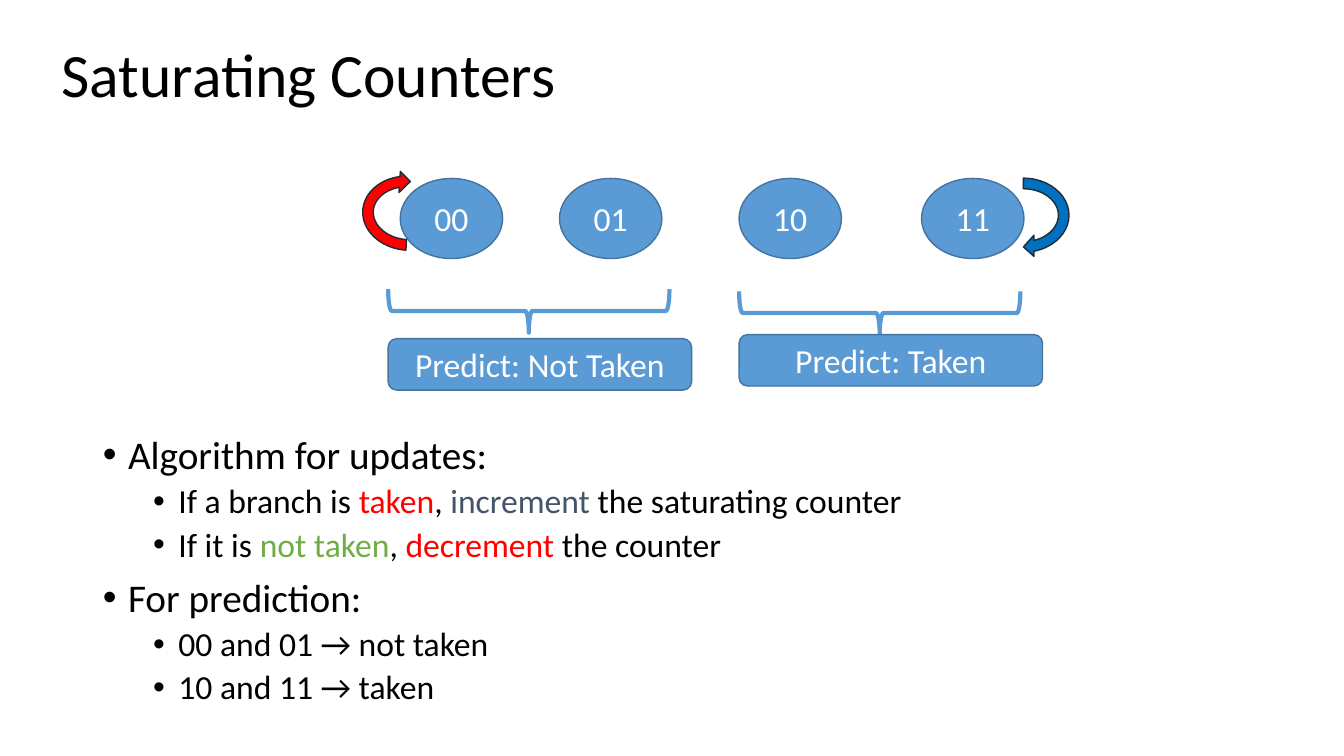
import dataclasses
import pptx
import pptx.dml.color
import pptx.enum.shapes
import pptx.enum.text
import pptx.oxml.ns
import pptx.util
from lxml import etree

SHAPE = pptx.enum.shapes.MSO_SHAPE
ALIGN = pptx.enum.text.PP_ALIGN
ANCHOR = pptx.enum.text.MSO_ANCHOR


@dataclasses.dataclass(frozen=True)
class Theme:
    font: str = "Calibri"
    title_size: int = 44
    topic_size: int = 28
    detail_size: int = 24
    text: str = "000000"
    white: str = "FFFFFF"
    blue: str = "5B9BD5"
    blue_edge: str = "43739E"
    loop_edge: str = "222A35"
    up: str = "0070C0"
    red: str = "FF0000"
    green: str = "70AD47"
    slate: str = "44546A"


THEME = Theme()

# The slide is a grid of 100 columns by 100 rows
WIDTH, HEIGHT = pptx.util.Inches(13.33), pptx.util.Inches(7.5)
COLUMN, ROW = WIDTH / 100, HEIGHT / 100

# Boxes: left, top, width, height in columns and rows
TITLE_BOX = (3.83, 0.53, 86.27, 19.33)
DIAGRAM_BOX = (28.88, 21.33, 50, 31)
RULES_BOX = (6.9, 56.93, 86.27, 39.6)

STATES = [("00", 0.9), ("01", 12.75), ("10", 26.11), ("11", 39.69)]
# Prediction, brace top, label top
PREDICTIONS = [("Predict: Not Taken", 1.2, 23.47), ("Predict: Taken", 1.47, 22.93)]
PREDICTION_STEP = 26.11
# Left, top, rotation, fill
LOOPS = [(44.11, 0.4, 90, THEME.up), (-1.65, 0.13, 273.7, THEME.red)]

# Level and runs of each rule
RULES = [
    (0, [("Algorithm for updates:", THEME.text)]),
    (1, [("If a branch is ", THEME.text), ("taken", THEME.red), (", ", THEME.text),
         ("increment ", THEME.slate), ("the saturating counter", THEME.text)]),
    (1, [("If it is ", THEME.text), ("not taken", THEME.green), (", ", THEME.text),
         ("decrement ", THEME.red), ("the counter", THEME.text)]),
    (0, [("For prediction:", THEME.text)]),
    (1, [("00 and 01 → not taken", THEME.text)]),
    (1, [("10 and 11 → taken", THEME.text)]),
]


def to_emu(box):
    left, top, width, height = box
    return [round(n) for n in (left * COLUMN, top * ROW, width * COLUMN, height * ROW)]


def rgb(color):
    return pptx.dml.color.RGBColor.from_string(color)


def add_run(paragraph, words, size, color):
    run = paragraph.add_run()
    run.text = words
    run.font.name = THEME.font
    run.font.size = pptx.util.Pt(size)
    run.font.color.rgb = rgb(color)


def place(placeholder, box, anchor):
    placeholder.left, placeholder.top, placeholder.width, placeholder.height = to_emu(box)
    frame = placeholder.text_frame
    frame.word_wrap = True
    frame.auto_size = pptx.enum.text.MSO_AUTO_SIZE.NONE
    frame.vertical_anchor = anchor
    return frame


def add_figure(slide, kind, box, fill, edge, edge_width=1, rotation=0, label=None):
    figure = slide.shapes.add_shape(kind, *to_emu(box))
    figure.shadow.inherit = False
    figure.rotation = rotation
    if fill:
        figure.fill.solid()
        figure.fill.fore_color.rgb = rgb(fill)
    else:
        figure.fill.background()
    figure.line.color.rgb = rgb(edge)
    figure.line.width = pptx.util.Pt(edge_width)
    if label:
        figure.text_frame.vertical_anchor = ANCHOR.MIDDLE
        paragraph = figure.text_frame.paragraphs[0]
        paragraph.alignment = ALIGN.CENTER
        add_run(paragraph, label, THEME.detail_size, THEME.white)


def add_bullet(paragraph, level):
    properties = paragraph._p.get_or_add_pPr()
    properties.set("marL", str(pptx.util.Inches(0.25 + 0.5 * level)))
    properties.set("indent", str(pptx.util.Inches(-0.25)))
    for tag, key, value in (("a:buFont", "typeface", "Arial"), ("a:buChar", "char", "•")):
        etree.SubElement(properties, pptx.oxml.ns.qn(tag)).set(key, value)


def fill_title(slide, box):
    paragraph = place(slide.shapes.title, box, ANCHOR.MIDDLE).paragraphs[0]
    paragraph.alignment = ALIGN.LEFT
    paragraph.line_spacing = 0.9
    add_run(paragraph, "Saturating Counters", THEME.title_size, THEME.text)


def fill_rules(slide, box):
    frame = place(slide.placeholders[1], box, ANCHOR.TOP)
    for index, (level, runs) in enumerate(RULES):
        paragraph = frame.add_paragraph() if index else frame.paragraphs[0]
        paragraph.level = level
        add_bullet(paragraph, level)
        paragraph.line_spacing = 0.9
        before = (5 if level else 10) if index else 0
        paragraph.space_before = pptx.util.Pt(before)
        size = THEME.detail_size if level else THEME.topic_size
        for words, color in runs:
            add_run(paragraph, words, size, color)


def draw_counter(slide, box):
    left, top = box[:2]
    # Counter states
    for state, x in STATES:
        add_figure(slide, SHAPE.OVAL, (left + x, top + 2.27, 7.62, 10.6),
                   THEME.blue, THEME.blue_edge, label=state)
    # Loops at the saturated ends
    for x, y, rotation, color in LOOPS:
        add_figure(slide, SHAPE.CIRCULAR_ARROW, (left + x, top + y, 6.3, 13.47),
                   color, THEME.loop_edge, rotation=rotation)
    # Braces and the prediction under each
    for index, (prediction, brace_top, label_top) in enumerate(PREDICTIONS):
        x = left + index * PREDICTION_STEP
        add_figure(slide, SHAPE.LEFT_BRACE, (x + 8.85, top + brace_top, 3.23, 37.2),
                   None, THEME.blue, edge_width=3, rotation=270)
        add_figure(slide, SHAPE.ROUNDED_RECTANGLE, (x, top + label_top, 22.58, 6.8),
                   THEME.blue, THEME.blue_edge, label=prediction)


def main():
    deck = pptx.Presentation()
    deck.slide_width, deck.slide_height = WIDTH, HEIGHT
    slide = deck.slides.add_slide(deck.slide_layouts[1])
    fill_title(slide, TITLE_BOX)
    fill_rules(slide, RULES_BOX)
    draw_counter(slide, DIAGRAM_BOX)
    deck.save("out.pptx")


if __name__ == "__main__":
    main()
